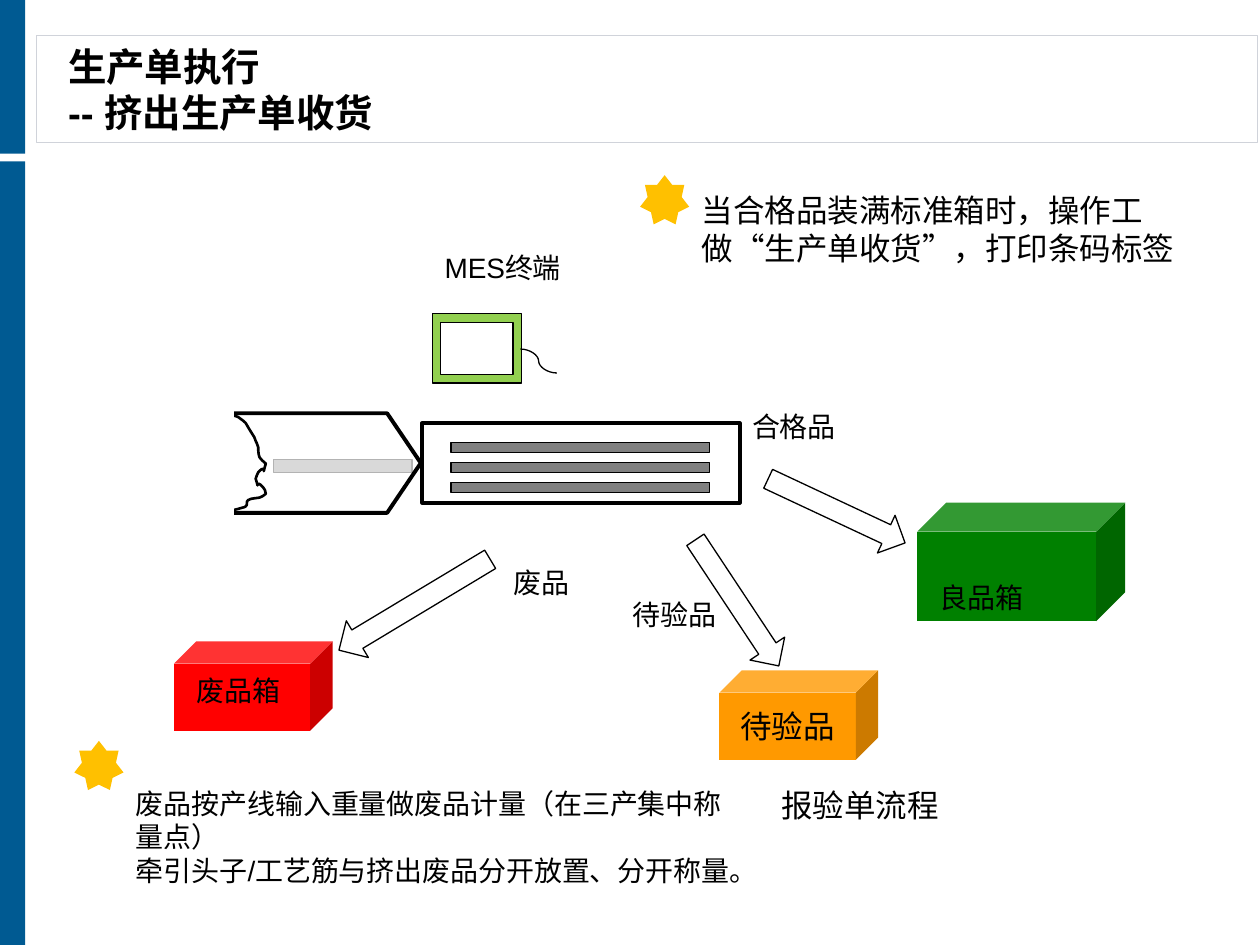
from lxml import etree
from pptx import Presentation
from pptx.dml.color import RGBColor
from pptx.enum.shapes import MSO_CONNECTOR as Link, MSO_SHAPE as Kind
from pptx.enum.text import MSO_ANCHOR as Anchor, MSO_AUTO_SIZE as Fit, PP_ALIGN as Align
from pptx.oxml.ns import qn
from pptx.util import Inches, Pt

# Torn cable end: start point, then two control points and an end per curve,
# or only an end for a straight piece
START = (1.22, 3.16)
TEAR = [
    (1.29, 3.15, 1.49, 3.17, 1.62, 3.17), (1.66, 3.18, 1.69, 3.18, 1.72, 3.19),
    (1.74, 3.2, 1.74, 3.23, 1.75, 3.24), (1.76, 3.26, 1.78, 3.27, 1.8, 3.28),
    (1.83, 3.29, 1.89, 3.31, 1.89, 3.31), (1.97, 3.37, 1.93, 3.33, 2, 3.44),
    (2.01, 3.46, 2.03, 3.48, 2.03, 3.5), (2.04, 3.51, 2.04, 3.53, 2.05, 3.55),
    (2.05, 3.57, 2.05, 3.6, 2.06, 3.63), (2.07, 3.65, 2.09, 3.66, 2.11, 3.68),
    (2.07, 3.82, 2.13, 3.66, 2.05, 3.75), (2.04, 3.76, 2.04, 3.78, 2.03, 3.8),
    (2.07, 3.93, 2.01, 3.78, 2.09, 3.87), (2.11, 3.88, 2.1, 3.9, 2.11, 3.92),
    (2.09, 3.93, 2.08, 3.95, 2.06, 3.95), (2.03, 3.96, 2, 3.95, 1.97, 3.97),
    (1.95, 3.98, 1.97, 4.01, 1.95, 4.02), (1.94, 4.03, 1.91, 4.03, 1.89, 4.04),
    (1.86, 4.05, 1.82, 4.05, 1.8, 4.07), (1.78, 4.08, 1.77, 4.1, 1.75, 4.1),
    (1.67, 4.14, 1.66, 4.13, 1.59, 4.15), (1.56, 4.16, 1.53, 4.18, 1.5, 4.19),
    (1.48, 4.19, 1.47, 4.2, 1.45, 4.21), (1.36, 4.22),
    (1.31, 4.22, 1.26, 4.22, 1.22, 4.21), (1.2, 4.2, 1.2, 4.17, 1.19, 4.15),
    (1.17, 4.14, 1.16, 4.13, 1.14, 4.12), (1.06, 3.99, 1.16, 4.15, 1.06, 4.02),
    (1.04, 3.99, 1.01, 3.93, 1, 3.9), (0.99, 3.88, 0.99, 3.87, 0.98, 3.85),
    (0.99, 3.81, 0.99, 3.76, 1, 3.72), (1.01, 3.65, 1.02, 3.65, 1.03, 3.6),
    (1.04, 3.57, 1.04, 3.55, 1.05, 3.53), (1.05, 3.51, 1.06, 3.5, 1.06, 3.48),
    (1.07, 3.45, 1.07, 3.41, 1.08, 3.38), (1.09, 3.33, 1.09, 3.27, 1.12, 3.24),
    (1.14, 3.23, 1.16, 3.23, 1.17, 3.23), (1.19, 3.17, 1.14, 3.17, 1.22, 3.16),
]


def color(text):
    return RGBColor.from_string(text)


def paint(shape, fill, line=None, width=0.75, alpha=None):
    shape.shadow.inherit = False
    shape.fill.solid()
    shape.fill.fore_color.rgb = color(fill)
    if alpha:
        tint = shape.element.spPr.find(qn("a:solidFill")).find(qn("a:srgbClr"))
        etree.SubElement(tint, qn("a:alpha")).set("val", str(alpha * 1000))
    if line:
        shape.line.color.rgb = color(line)
        shape.line.width = Pt(width)
    else:
        shape.line.fill.background()


def block(slide, kind, place, fill, line=None, width=0.75, alpha=None, adjust=(), turn=0):
    shape = slide.shapes.add_shape(kind, *map(Inches, place))
    paint(shape, fill, line, width, alpha)
    for i, value in enumerate(adjust):
        shape.adjustments[i] = value
    shape.rotation = turn
    return shape


def write(para, text, size, bold=False):
    run = para.add_run()
    run.text = text
    font = run.font
    font.name, font.size, font.bold = "Arial", Pt(size), bold
    font.color.rgb = color("000000")


def center(frame):
    frame.vertical_anchor = Anchor.MIDDLE
    frame.margin_left = frame.margin_right = Inches(0.1)
    frame.margin_top = frame.margin_bottom = 0


def label(slide, place, *lines, size=16, wrap=False):
    frame = slide.shapes.add_textbox(*map(Inches, place)).text_frame
    frame.word_wrap = wrap
    frame.auto_size = Fit.SHAPE_TO_FIT_TEXT
    for i, line in enumerate(lines):
        para = frame.add_paragraph() if i else frame.paragraphs[0]
        write(para, line, size)


def head(slide, place, *lines):
    title = slide.shapes.title
    title.left, title.top, title.width, title.height = map(Inches, place)
    title.element.getparent().append(title.element)  # in front of the frame
    frame = title.text_frame
    frame.word_wrap = True
    frame.auto_size = Fit.NONE
    center(frame)
    para = frame.paragraphs[0]
    para.alignment = Align.LEFT
    for i, line in enumerate(lines):
        if i:
            para.add_line_break()
        write(para, line, 22, True)


def bend(shape, curves):
    """Turn each straight piece of a freeform into its cubic curve."""
    for piece, curve in zip(list(shape.element.iter(qn("a:lnTo"))), curves):
        if len(curve) == 2:
            continue
        cubic = etree.Element(qn("a:cubicBezTo"))
        for x, y in zip(curve[::2], curve[1::2]):
            spot = etree.SubElement(cubic, qn("a:pt"))
            spot.set("x", str(Inches(x) - shape.left))
            spot.set("y", str(Inches(y) - shape.top))
        piece.getparent().replace(piece, cubic)


def tear(slide):
    form = slide.shapes.build_freeform(*map(Inches, START))
    form.add_line_segments([tuple(map(Inches, c[-2:])) for c in TEAR], close=True)
    shape = form.convert_to_shape()
    bend(shape, TEAR)
    paint(shape, "FFFFFF", "000000", 1.5)


def wire(slide, *ends):
    line = slide.shapes.add_connector(Link.CURVE, *map(Inches, ends))
    line.line.color.rgb = color("000000")
    line.line.width = Pt(0.75)
    etree.SubElement(line.element.spPr, qn("a:effectLst"))


def arrow(slide, place, turn):
    block(slide, Kind.RIGHT_ARROW, place, "FFFFFF", "000000", turn=turn)


def star(slide, left, top):
    block(slide, Kind.STAR_7_POINT, (left, top, 0.39, 0.39), "FFC000")


def line_up(slide):
    """The extruder: cable, head and cooling bed."""
    block(slide, Kind.RECTANGLE, (2.17, 3.65, 1.1, 0.1), "808080", "000000")
    block(slide, Kind.RIGHT_ARROW, (1.77, 3.28, 1.57, 0.79), "FFFFFF", "000000",
          2.25, 70, (1, 0.338))
    block(slide, Kind.RECTANGLE, (3.35, 3.36, 2.52, 0.63), "FFFFFF", "000000", 2.25, 70)
    tear(slide)
    block(slide, Kind.RECTANGLE, (0.91, 2.86, 0.94, 1.5), "FFFFFF", "FFFFFF")
    for i in range(3):
        block(slide, Kind.RECTANGLE, (3.58, 3.51 + 0.16 * i, 2.05, 0.08), "808080", "000000")


def main():
    deck = Presentation()
    deck.slide_width, deck.slide_height = Inches(10), Inches(7.5)
    slide = deck.slides.add_slide(deck.slide_layouts[5])

    block(slide, Kind.RECTANGLE, (0.29, 0.28, 9.69, 0.85), "FFFFFF", "D0D3DA")
    for top, high in ((1.28, 6.22), (0, 1.22)):
        block(slide, Kind.RECTANGLE, (0, top, 0.2, high), "005A92")
    head(slide, (0.44, 0.31, 6.3, 0.79), "生产单执行", "-- 挤出生产单收货")

    line_up(slide)

    block(slide, Kind.CUBE, (1.38, 5.09, 1.26, 0.71), "FF0000")
    block(slide, Kind.CUBE, (7.28, 3.99, 1.65, 0.94), "008000", adjust=(0.244,))
    hold = block(slide, Kind.CUBE, (5.71, 5.32, 1.26, 0.71), "FF9900").text_frame
    center(hold)
    hold.paragraphs[0].alignment = Align.CENTER
    write(hold.paragraphs[0], "待验品", 18)

    arrow(slide, (6.04, 3.89, 1.2, 0.33), 25.1)
    arrow(slide, (2.59, 4.63, 1.4, 0.34), 149)
    arrow(slide, (5.25, 4.62, 1.2, 0.33), 56.5)

    block(slide, Kind.FRAME, (3.43, 2.49, 0.71, 0.55), "92D050", "000000")
    wire(slide, 4.13, 2.77, 4.42, 2.96)
    label(slide, (3.43, 1.94, 1.14, 0.37), "MES终端")

    for left, top, wide, text in (
            (5.87, 3.2, 0.88, "合格品"), (3.98, 4.44, 0.65, "废品"),
            (1.46, 5.3, 0.88, "废品箱"), (7.36, 4.56, 0.88, "良品箱"),
            (4.92, 4.69, 0.88, "待验品")):
        label(slide, (left, top, wide, 0.37), text)

    star(slide, 5.08, 1.39)
    label(slide, (5.47, 1.47, 4.09, 0.71),
          "当合格品装满标准箱时，操作工做“生产单收货”，打印条码标签", size=18, wrap=True)
    star(slide, 0.59, 5.88)
    label(slide, (0.98, 6.19, 5, 0.91),
          "废品按产线输入重量做废品计量（在三产集中称量点）",
          "牵引头子/工艺筋与挤出废品分开放置、分开称量。", wrap=True)
    label(slide, (6.1, 6.19, 2.99, 0.4), "报验单流程", size=18, wrap=True)

    deck.save("out.pptx")


if __name__ == "__main__":
    main()
